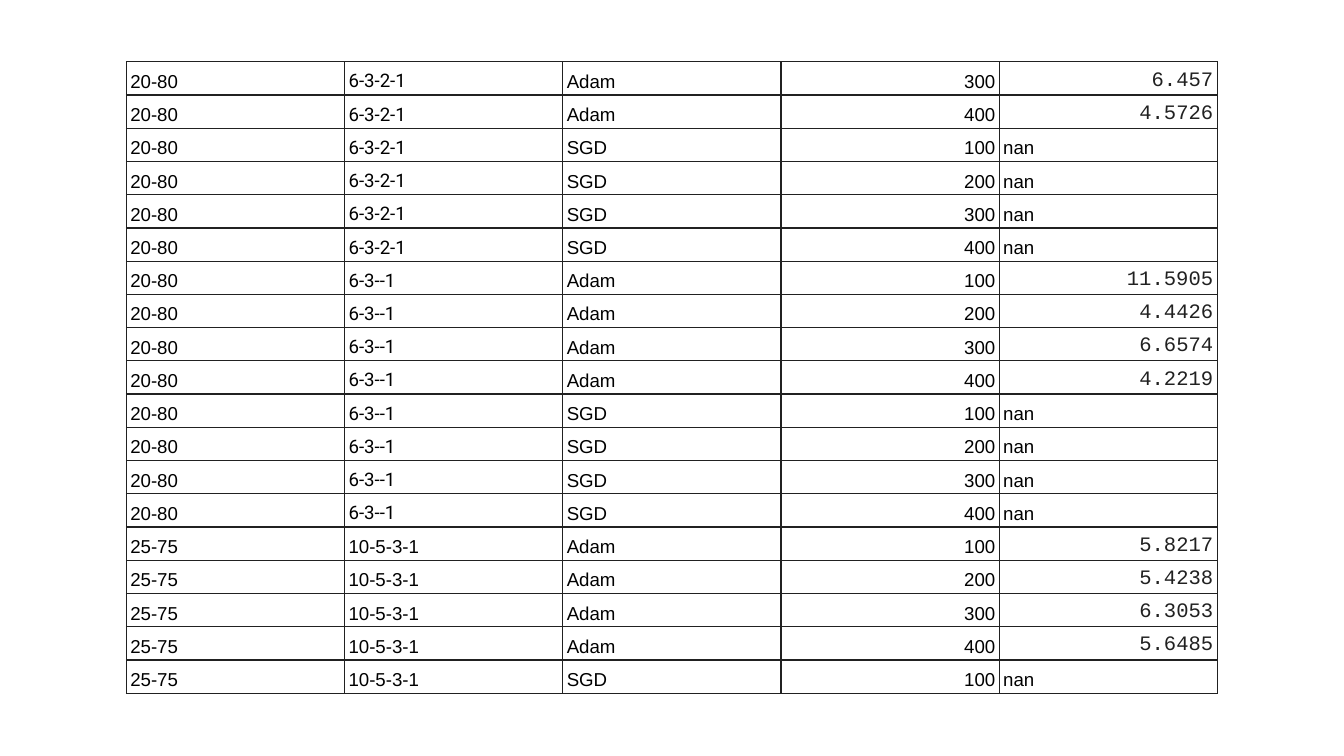
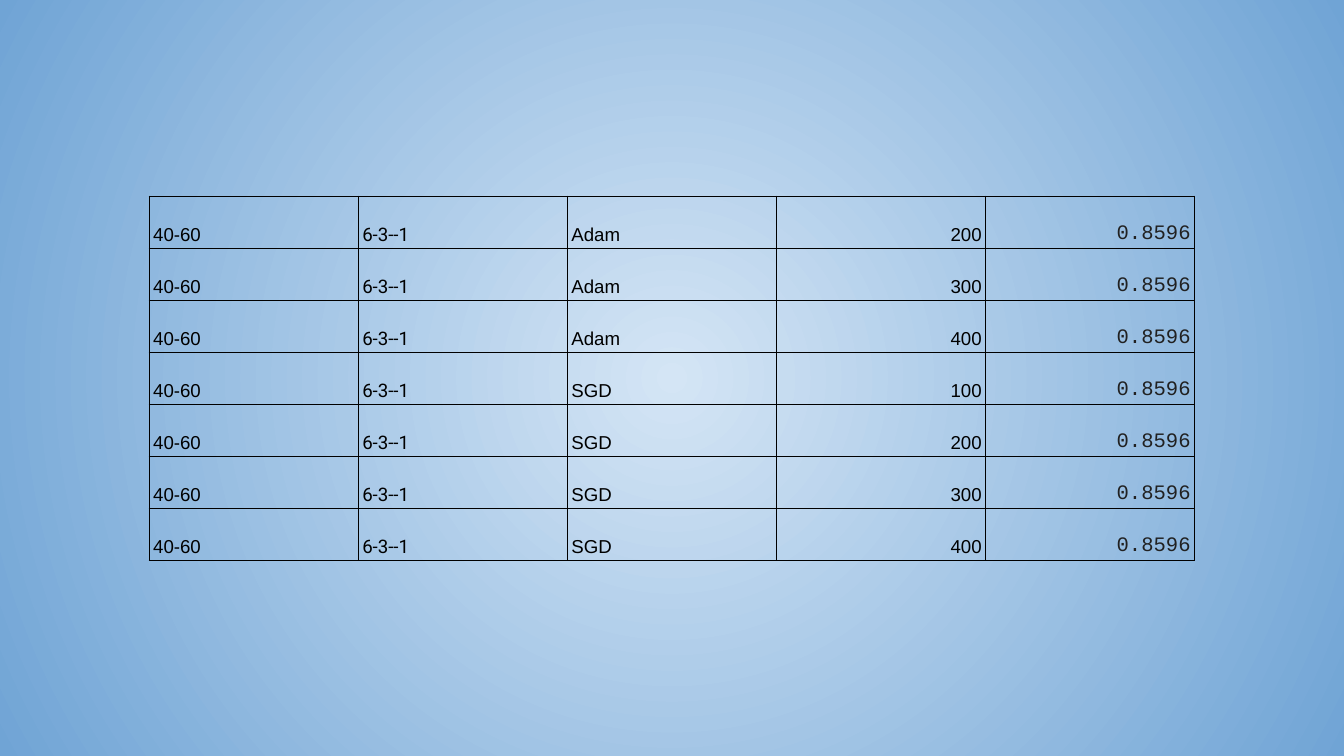
"""Build two slides of training results, each a table of split, layers, optimizer, epochs and error."""
import lxml.etree
import pptx
import pptx.dml.color
import pptx.enum.text
import pptx.oxml.ns
import pptx.util

Inches = pptx.util.Inches
RGBColor = pptx.dml.color.RGBColor
ALIGN = pptx.enum.text.PP_ALIGN
qn = pptx.oxml.ns.qn

BLACK = RGBColor(0x00, 0x00, 0x00)
CHARCOAL = RGBColor(0x21, 0x21, 0x21)
WHITE = RGBColor(0xFF, 0xFF, 0xFF)
PALE_BLUE = RGBColor(0xD4, 0xE5, 0xF5)
SKY_BLUE = RGBColor(0x70, 0xA4, 0xD5)

ERROR_RUNS = [
    ("20-80", "6-3-2-1", "Adam", "300", "6.457"),
    ("20-80", "6-3-2-1", "Adam", "400", "4.5726"),
    ("20-80", "6-3-2-1", "SGD", "100", "nan"),
    ("20-80", "6-3-2-1", "SGD", "200", "nan"),
    ("20-80", "6-3-2-1", "SGD", "300", "nan"),
    ("20-80", "6-3-2-1", "SGD", "400", "nan"),
    ("20-80", "6-3--1", "Adam", "100", "11.5905"),
    ("20-80", "6-3--1", "Adam", "200", "4.4426"),
    ("20-80", "6-3--1", "Adam", "300", "6.6574"),
    ("20-80", "6-3--1", "Adam", "400", "4.2219"),
    ("20-80", "6-3--1", "SGD", "100", "nan"),
    ("20-80", "6-3--1", "SGD", "200", "nan"),
    ("20-80", "6-3--1", "SGD", "300", "nan"),
    ("20-80", "6-3--1", "SGD", "400", "nan"),
    ("25-75", "10-5-3-1", "Adam", "100", "5.8217"),
    ("25-75", "10-5-3-1", "Adam", "200", "5.4238"),
    ("25-75", "10-5-3-1", "Adam", "300", "6.3053"),
    ("25-75", "10-5-3-1", "Adam", "400", "5.6485"),
    ("25-75", "10-5-3-1", "SGD", "100", "nan"),
]
CONSTANT_RUNS = [
    ("40-60", "6-3--1", "Adam", "200", "0.8596"),
    ("40-60", "6-3--1", "Adam", "300", "0.8596"),
    ("40-60", "6-3--1", "Adam", "400", "0.8596"),
    ("40-60", "6-3--1", "SGD", "100", "0.8596"),
    ("40-60", "6-3--1", "SGD", "200", "0.8596"),
    ("40-60", "6-3--1", "SGD", "300", "0.8596"),
    ("40-60", "6-3--1", "SGD", "400", "0.8596"),
]
SLIDES = [
    {"runs": ERROR_RUNS, "at": (0.94, 0.46, 8.12, 4.7), "border": CHARCOAL, "background": (WHITE,)},
    {"runs": CONSTANT_RUNS, "at": (1.11, 1.46, 7.78, 2.71), "border": BLACK,
     "background": (PALE_BLUE, SKY_BLUE)},
]


def write(cell, text, font="Arial", size=10, color=BLACK, align=ALIGN.LEFT):
    paragraph = cell.text_frame.paragraphs[0]
    paragraph.alignment = align
    paragraph.line_spacing = 1.15
    run = paragraph.add_run()
    run.text = text
    run.font.name = font
    run.font.size = pptx.util.Pt(size)
    run.font.color.rgb = color


def text_format(column, text):
    if column == 1 and text.startswith("6-"):
        return {"font": "Roboto"}
    if column == 3:
        return {"align": ALIGN.RIGHT}
    if column == 4 and text != "nan":
        return {"font": "Courier New", "size": 11, "color": CHARCOAL, "align": ALIGN.RIGHT}
    return {}


def frame_cell(cell, color):
    cell.margin_left = cell.margin_right = Inches(0.03)
    cell.margin_top = cell.margin_bottom = Inches(0.02)
    cell.vertical_anchor = pptx.enum.text.MSO_ANCHOR.BOTTOM
    properties = cell._tc.get_or_add_tcPr()
    for side in ("L", "R", "T", "B"):
        edge = lxml.etree.SubElement(properties, qn(f"a:ln{side}"), w=str(pptx.util.Pt(0.75)))
        fill = lxml.etree.SubElement(edge, qn("a:solidFill"))
        lxml.etree.SubElement(fill, qn("a:srgbClr"), val=str(color))
    cell.fill.background()


def paint_background(slide, colors):
    fill = slide.background.fill
    if len(colors) == 1:
        fill.solid()
        fill.fore_color.rgb = colors[0]
        return
    fill.gradient()
    for stop, color in zip(fill.gradient_stops, colors):
        stop.color.rgb = color
    gradient = slide.element.find(".//" + qn("a:gradFill"))
    gradient.remove(gradient.find(qn("a:lin")))
    circle = lxml.etree.SubElement(gradient, qn("a:path"), path="circle")
    lxml.etree.SubElement(circle, qn("a:fillToRect"), l="50000", t="50000", r="50000", b="50000")


def add_results(slide, runs, at, border):
    left, top, width, height = map(Inches, at)
    table = slide.shapes.add_table(len(runs), len(runs[0]), left, top, width, height).table
    table.first_row = table.horz_banding = False
    for row, result in enumerate(runs):
        for column, text in enumerate(result):
            cell = table.cell(row, column)
            frame_cell(cell, border)
            write(cell, text, **text_format(column, text))


def main():
    deck = pptx.Presentation()
    deck.slide_width = Inches(10)
    deck.slide_height = deck.slide_width * 9 // 16
    for content in SLIDES:
        slide = deck.slides.add_slide(deck.slide_layouts[6])
        paint_background(slide, content["background"])
        add_results(slide, content["runs"], content["at"], content["border"])
    deck.save("out.pptx")


if __name__ == "__main__":
    main()
